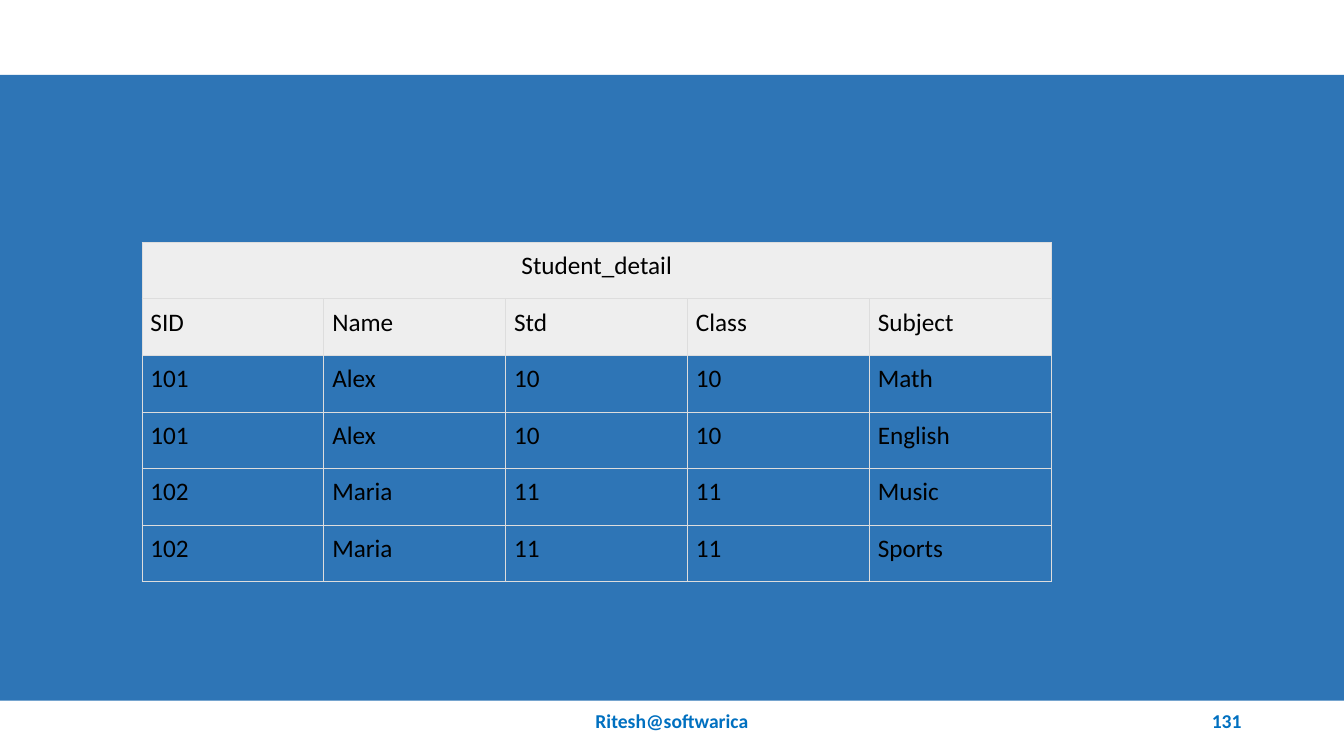
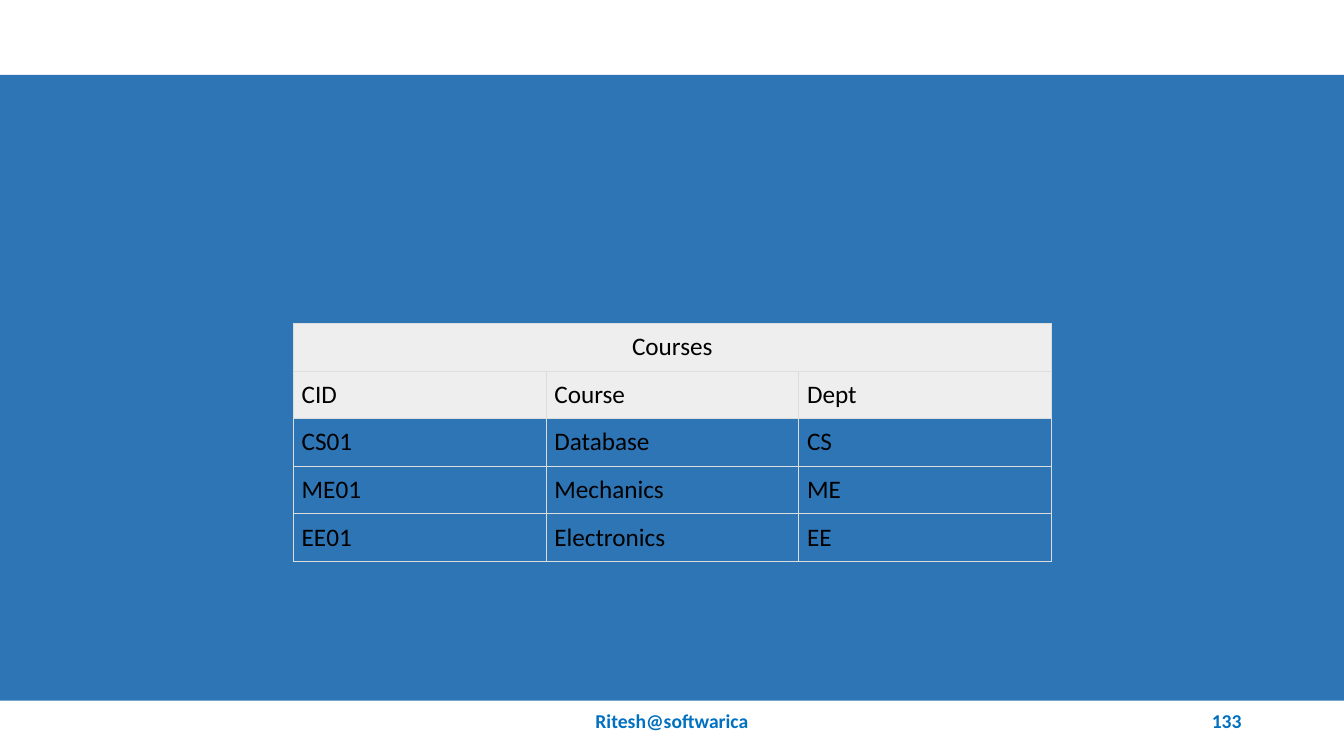
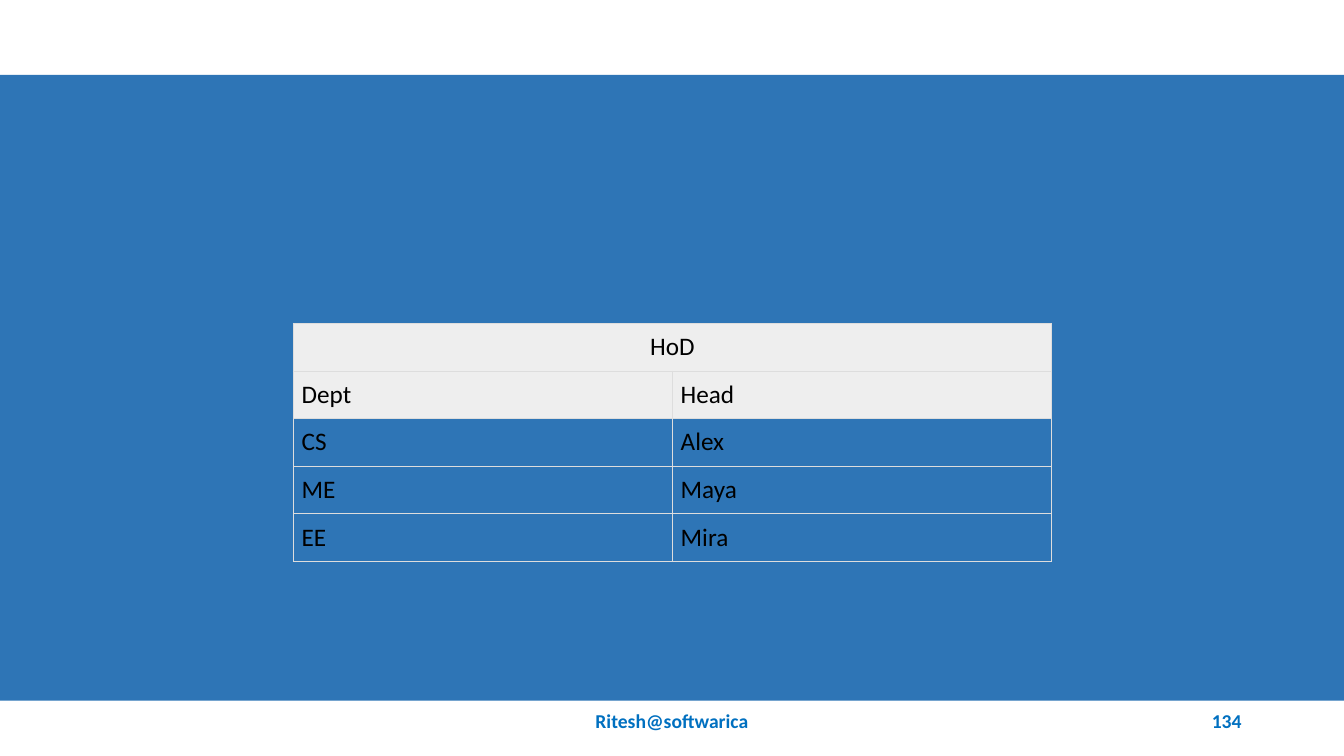
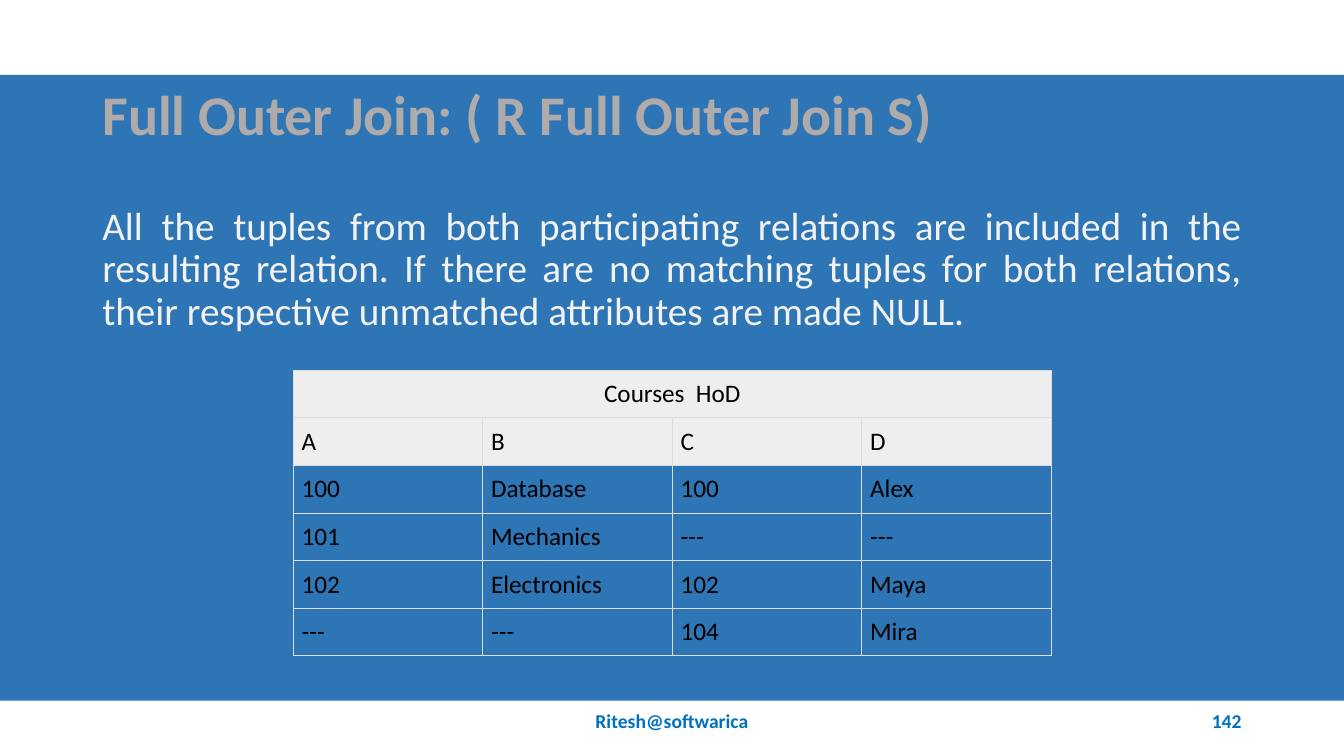
from dataclasses import dataclass

from lxml.etree import SubElement
from pptx import Presentation
from pptx.dml.color import RGBColor
from pptx.enum.shapes import MSO_SHAPE as Shape
from pptx.enum.text import MSO_ANCHOR as Anchor, MSO_AUTO_SIZE as AutoSize, PP_ALIGN as Align
from pptx.oxml.ns import qn
from pptx.util import Pt


@dataclass(frozen=True)
class Theme:
    font: str = "Calibri"
    band: str = "2E75B6"
    footer: str = "0070C0"
    title: str = "AFABAB"
    body: str = "F2F2F2"
    cell: str = "000000"
    header_fill: str = "EEEEEE"
    border: str = "DDDDDD"
    title_size: float = 40
    body_size: float = 28
    cell_size: float = 18
    footer_size: float = 14


THEME = Theme()
SLIDE_WIDTH, SLIDE_HEIGHT = 960, 540
BAND_TOP, BAND_BOTTOM = 53.5, 500.5
MARGIN = 66
CONTENT_WIDTH = SLIDE_WIDTH - 2 * MARGIN
TABLE_RIGHT = 751
CELL_MARGIN = 6
BORDER_WIDTH = 0.75
TITLE_ONLY, BLANK = 5, 6


def write(frame, text, size, color, bold=False, align=Align.LEFT, line_spacing=None):
    """Put one formatted run into the first paragraph of a text frame."""
    paragraph = frame.paragraphs[0]
    paragraph.alignment = align
    if line_spacing:
        paragraph.line_spacing = line_spacing
    run = paragraph.add_run()
    run.text = text
    run.font.name = THEME.font
    run.font.size = Pt(size)
    run.font.bold = bold
    run.font.color.rgb = RGBColor.from_string(color)


def add_text_box(slide, left, top, width, height, anchor=Anchor.TOP):
    frame = slide.shapes.add_textbox(Pt(left), Pt(top), Pt(width), Pt(height)).text_frame
    frame.word_wrap = True
    frame.vertical_anchor = anchor
    return frame


def add_slide(presentation, layout, number):
    """Add a slide with the blue band, the footer and the slide number."""
    slide = presentation.slides.add_slide(presentation.slide_layouts[layout])
    band = slide.shapes.add_shape(
        Shape.RECTANGLE, 0, Pt(BAND_TOP), Pt(SLIDE_WIDTH), Pt(BAND_BOTTOM - BAND_TOP))
    band.shadow.inherit = False
    band.fill.solid()
    band.fill.fore_color.rgb = RGBColor.from_string(THEME.band)
    band.line.fill.background()
    # The band goes behind the placeholders.
    slide.shapes._spTree.insert(2, band._element)

    for text, left, width, align in (
        ("Ritesh@softwarica", 318, 324, Align.CENTER),
        (str(number), 678, 216, Align.RIGHT),
    ):
        frame = add_text_box(slide, left, BAND_BOTTOM, width, 28.8, Anchor.MIDDLE)
        write(frame, text, THEME.footer_size, THEME.footer, bold=True, align=align)
    return slide


def set_title(slide, text):
    title = slide.shapes.title
    title.left, title.top = Pt(MARGIN), Pt(BAND_TOP)
    title.width, title.height = Pt(CONTENT_WIDTH), Pt(61)
    frame = title.text_frame
    frame.auto_size = AutoSize.NONE
    frame.vertical_anchor = Anchor.MIDDLE
    write(frame, text, THEME.title_size, THEME.title, bold=True, line_spacing=0.9)


def add_body(slide, text):
    frame = add_text_box(slide, MARGIN, 144, CONTENT_WIDTH, 342.5)
    write(frame, text, THEME.body_size, THEME.body, align=Align.JUSTIFY, line_spacing=0.9)


def set_borders(cell):
    properties = cell._tc.get_or_add_tcPr()
    for side in ("a:lnL", "a:lnR", "a:lnT", "a:lnB"):
        line = SubElement(properties, qn(side), w=str(Pt(BORDER_WIDTH)))
        SubElement(SubElement(line, qn("a:solidFill")), qn("a:srgbClr"), val=THEME.border)


def format_cell(cell, is_header):
    set_borders(cell)
    if is_header:
        cell.fill.solid()
        cell.fill.fore_color.rgb = RGBColor.from_string(THEME.header_fill)
    else:
        cell.fill.background()
    cell.margin_left = cell.margin_right = Pt(CELL_MARGIN)
    cell.margin_top = cell.margin_bottom = Pt(CELL_MARGIN)


def add_relation(slide, name, rows, top, left=209.5, row_height=34):
    """Add a table with its name merged across the top and column names below."""
    row_count, column_count = len(rows) + 1, len(rows[0])
    table = slide.shapes.add_table(
        row_count, column_count, Pt(left), Pt(top),
        Pt(TABLE_RIGHT - left), Pt(row_height * row_count)).table
    table.first_row = table.horz_banding = False
    for row in table.rows:
        row.height = Pt(row_height)
    for row_index in range(row_count):
        for column_index in range(column_count):
            format_cell(table.cell(row_index, column_index), is_header=row_index < 2)

    heading = table.cell(0, 0)
    heading.merge(table.cell(0, column_count - 1))
    write(heading.text_frame, name, THEME.cell_size, THEME.cell, align=Align.CENTER)
    for row_index, values in enumerate(rows, start=1):
        for column_index, value in enumerate(values):
            write(table.cell(row_index, column_index).text_frame,
                  value, THEME.cell_size, THEME.cell)


def main():
    presentation = Presentation()
    presentation.slide_width, presentation.slide_height = Pt(SLIDE_WIDTH), Pt(SLIDE_HEIGHT)

    slide = add_slide(presentation, BLANK, 131)
    add_relation(slide, "Student_detail", [
        ("SID", "Name", "Std", "Class", "Subject"),
        ("101", "Alex", "10", "10", "Math"),
        ("101", "Alex", "10", "10", "English"),
        ("102", "Maria", "11", "11", "Music"),
        ("102", "Maria", "11", "11", "Sports"),
    ], top=173, left=101.5, row_height=40.45)

    slide = add_slide(presentation, BLANK, 133)
    add_relation(slide, "Courses", [
        ("CID", "Course", "Dept"),
        ("CS01", "Database", "CS"),
        ("ME01", "Mechanics", "ME"),
        ("EE01", "Electronics", "EE"),
    ], top=231)

    slide = add_slide(presentation, BLANK, 134)
    add_relation(slide, "HoD", [
        ("Dept", "Head"),
        ("CS", "Alex"),
        ("ME", "Maya"),
        ("EE", "Mira"),
    ], top=231)

    slide = add_slide(presentation, TITLE_ONLY, 142)
    set_title(slide, "Full Outer Join: ( R Full Outer Join S)")
    add_body(slide, "All the tuples from both participating relations are included in the "
                    "resulting relation. If there are no matching tuples for both relations, "
                    "their respective unmatched attributes are made NULL.")
    add_relation(slide, "Courses  HoD", [
        ("A", "B", "C", "D"),
        ("100", "Database", "100", "Alex"),
        ("101", "Mechanics", "---", "---"),
        ("102", "Electronics", "102", "Maya"),
        ("---", "---", "104", "Mira"),
    ], top=264.5)

    presentation.save("out.pptx")


if __name__ == "__main__":
    main()
